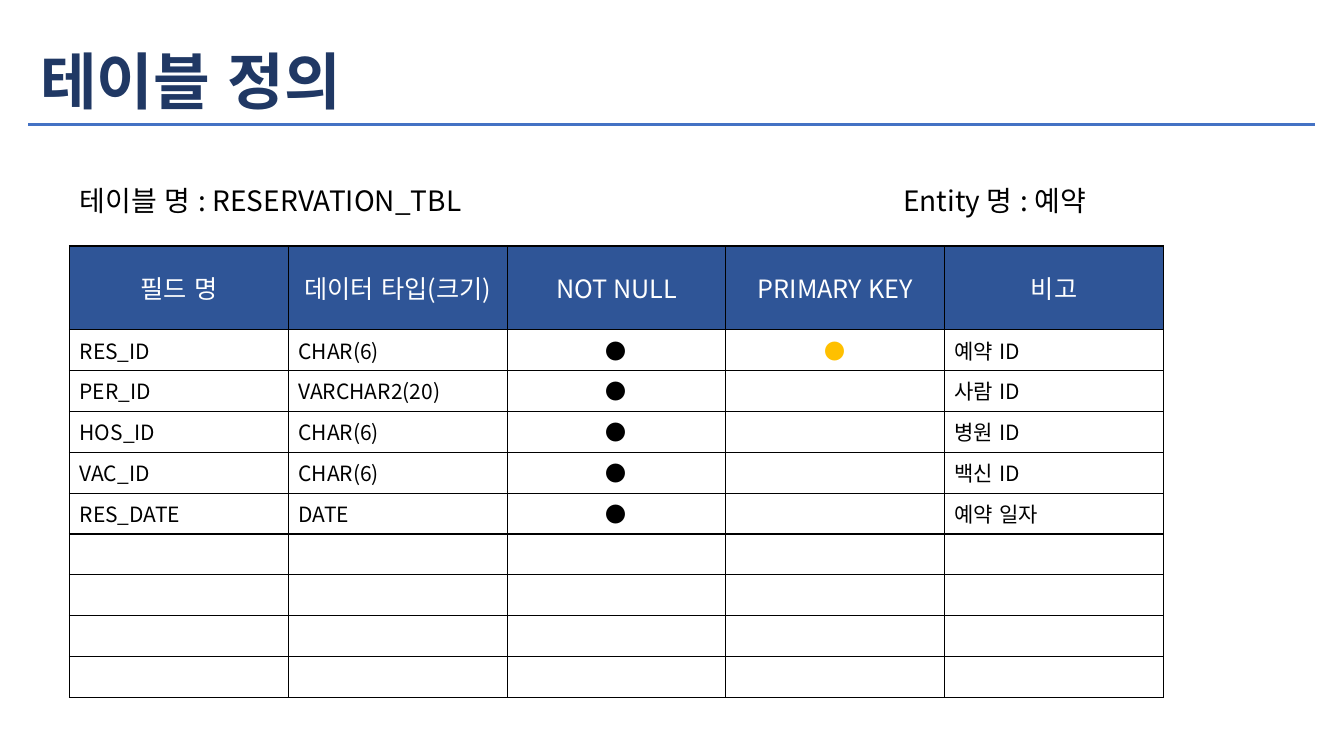
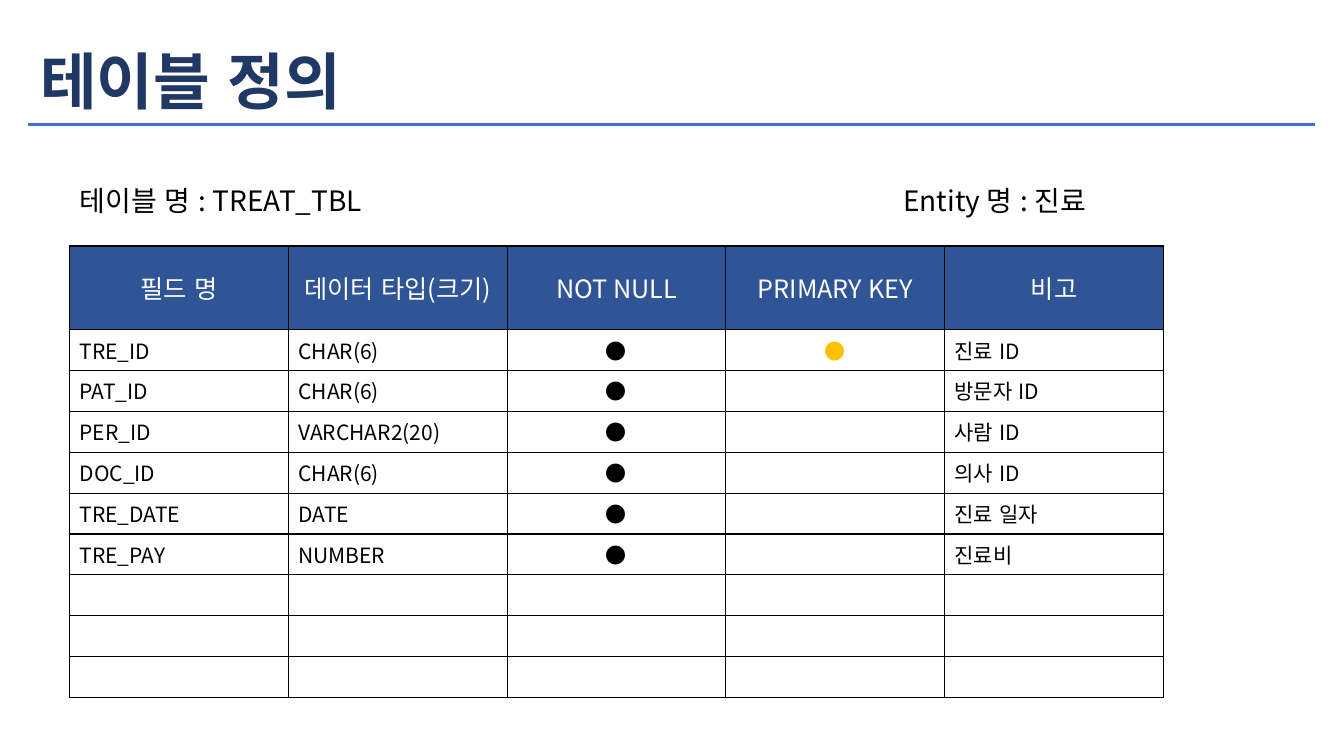
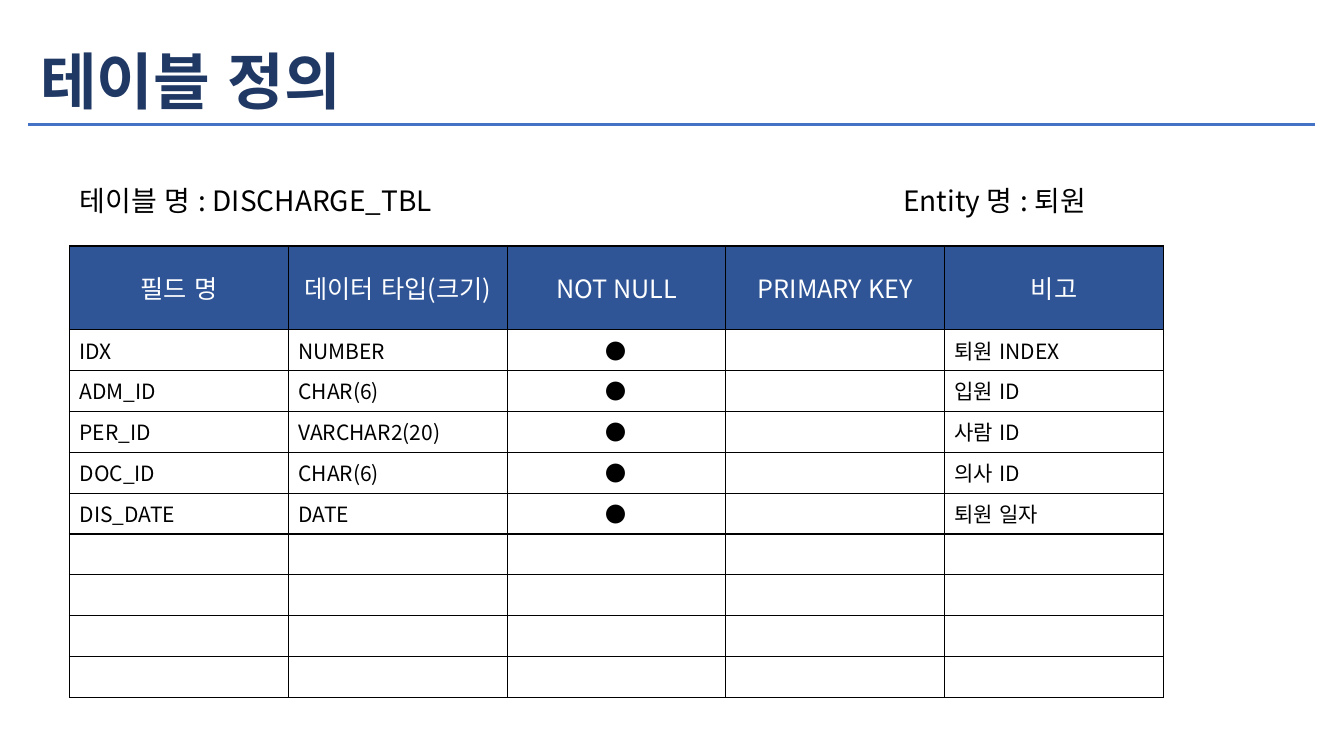
from lxml import etree
from pptx import Presentation
from pptx.dml.color import RGBColor
from pptx.enum import lang, shapes, text
from pptx.oxml import ns
from pptx.util import Inches, Pt

TITLE = "테이블 정의"
HEADERS = ["필드 명", "데이터 타입(크기)", "NOT NULL", "PRIMARY KEY", "비고"]
TABLES = [
    ("RESERVATION_TBL", "예약", "RES_ID", [
        ("RES_ID", "CHAR(6)", "예약 ID"),
        ("PER_ID", "VARCHAR2(20)", "사람 ID"),
        ("HOS_ID", "CHAR(6)", "병원 ID"),
        ("VAC_ID", "CHAR(6)", "백신 ID"),
        ("RES_DATE", "DATE", "예약 일자"),
    ]),
    ("TREAT_TBL", "진료", "TRE_ID", [
        ("TRE_ID", "CHAR(6)", "진료 ID"),
        ("PAT_ID", "CHAR(6)", "방문자 ID"),
        ("PER_ID", "VARCHAR2(20)", "사람 ID"),
        ("DOC_ID", "CHAR(6)", "의사 ID"),
        ("TRE_DATE", "DATE", "진료 일자"),
        ("TRE_PAY", "NUMBER", "진료비"),
    ]),
    ("DISCHARGE_TBL", "퇴원", None, [
        ("IDX", "NUMBER", "퇴원 INDEX"),
        ("ADM_ID", "CHAR(6)", "입원 ID"),
        ("PER_ID", "VARCHAR2(20)", "사람 ID"),
        ("DOC_ID", "CHAR(6)", "의사 ID"),
        ("DIS_DATE", "DATE", "퇴원 일자"),
    ]),
]

FONT = "Noto Sans CJK KR"
DOT = "●"
BODY_ROWS = 9
BODY_SIZE = 15
MARK_COLUMNS = (2, 3)
KEY_COLUMN = 3
LEFT = 0.69
TABLE_TOP, TABLE_WIDTH, TABLE_HEIGHT, HEADER_HEIGHT = 2.44, 10.85, 4.48, 0.83

NAVY = RGBColor(0x20, 0x38, 0x64)
HEADER_BLUE = RGBColor(0x2F, 0x55, 0x97)
RULE_BLUE = RGBColor(0x44, 0x72, 0xC4)
GOLD = RGBColor(0xFF, 0xC0, 0x00)
BLACK = RGBColor(0, 0, 0)
WHITE = RGBColor(0xFF, 0xFF, 0xFF)


def style(para, size, color, bold=False):
    for span in para.runs:
        span.font.size = Pt(size)
        span.font.bold = bold
        span.font.color.rgb = color
        span.font.name = FONT
        span.font.language_id = lang.MSO_LANGUAGE_ID.KOREAN
        etree.SubElement(span.font._element, ns.qn("a:ea"), typeface=FONT)


def add_text(page, words, left, top, width, height, size, color, bold=False):
    box = page.shapes.add_textbox(*map(Inches, (left, top, width, height)))
    frame = box.text_frame
    frame.word_wrap = True
    frame.vertical_anchor = text.MSO_ANCHOR.MIDDLE
    frame.text = words
    para = frame.paragraphs[0]
    para.line_spacing = 0.9
    style(para, size, color, bold)


def add_borders(cell):
    properties = cell._tc.get_or_add_tcPr()
    for side in ("lnL", "lnR", "lnT", "lnB"):
        line = etree.SubElement(properties, ns.qn(f"a:{side}"), w=str(Pt(1)))
        fill = etree.SubElement(line, ns.qn("a:solidFill"))
        etree.SubElement(fill, ns.qn("a:srgbClr"), val=str(BLACK))


def fill_cell(cell, words, size, color, centred):
    add_borders(cell)
    cell.text = words
    para = cell.text_frame.paragraphs[0]
    if centred:
        para.alignment = text.PP_ALIGN.CENTER
    if words:
        style(para, size, color)
    else:
        etree.SubElement(para._p, ns.qn("a:endParaRPr"), sz=str(size * 100))


def add_field_table(page, key, fields):
    frame = page.shapes.add_table(
        BODY_ROWS + 1, len(HEADERS),
        *map(Inches, (LEFT, TABLE_TOP, TABLE_WIDTH, TABLE_HEIGHT)))
    table = frame.table
    table.first_row = table.horz_banding = False
    for column in table.columns:
        column.width = Inches(TABLE_WIDTH / len(HEADERS))
    for row in table.rows:
        row.height = Inches((TABLE_HEIGHT - HEADER_HEIGHT) / BODY_ROWS)
    table.rows[0].height = Inches(HEADER_HEIGHT)

    for column, words in enumerate(HEADERS):
        cell = table.cell(0, column)
        fill_cell(cell, words, 18, WHITE, True)
        cell.vertical_anchor = text.MSO_ANCHOR.MIDDLE
        cell.fill.solid()
        cell.fill.fore_color.rgb = HEADER_BLUE

    rows = [(name, kind, DOT, DOT if name == key else "", note)
            for name, kind, note in fields]
    rows += [("",) * len(HEADERS)] * (BODY_ROWS - len(rows))
    for row, values in enumerate(rows, 1):
        for column, words in enumerate(values):
            cell = table.cell(row, column)
            color = GOLD if column == KEY_COLUMN else BLACK
            fill_cell(cell, words, BODY_SIZE, color, column in MARK_COLUMNS)
            cell.fill.background()


def add_heading(page):
    add_text(page, TITLE, 0.3, 0.32, 11.39, 1.04, 44, NAVY, True)
    rule = page.shapes.add_shape(
        shapes.MSO_SHAPE.RECTANGLE, *map(Inches, (0.27, 1.21, 12.78, 0.05)))
    rule.shadow.inherit = False
    rule.fill.solid()
    rule.fill.fore_color.rgb = RULE_BLUE
    rule.line.color.rgb = WHITE
    rule.line.width = Pt(1)


def main():
    deck = Presentation()
    deck.slide_width, deck.slide_height = Inches(13.33), Inches(7.5)
    for table_name, entity, key, fields in TABLES:
        page = deck.slides.add_slide(deck.slide_layouts[6])
        add_field_table(page, key, fields)
        labels = [(LEFT, f"테이블 명 : {table_name}"), (8.86, f"Entity 명 : {entity}")]
        for left, words in labels:
            add_text(page, words, left, 1.75, 4.48, 0.51, 20, BLACK)
        add_heading(page)
    deck.save("out.pptx")


if __name__ == "__main__":
    main()
